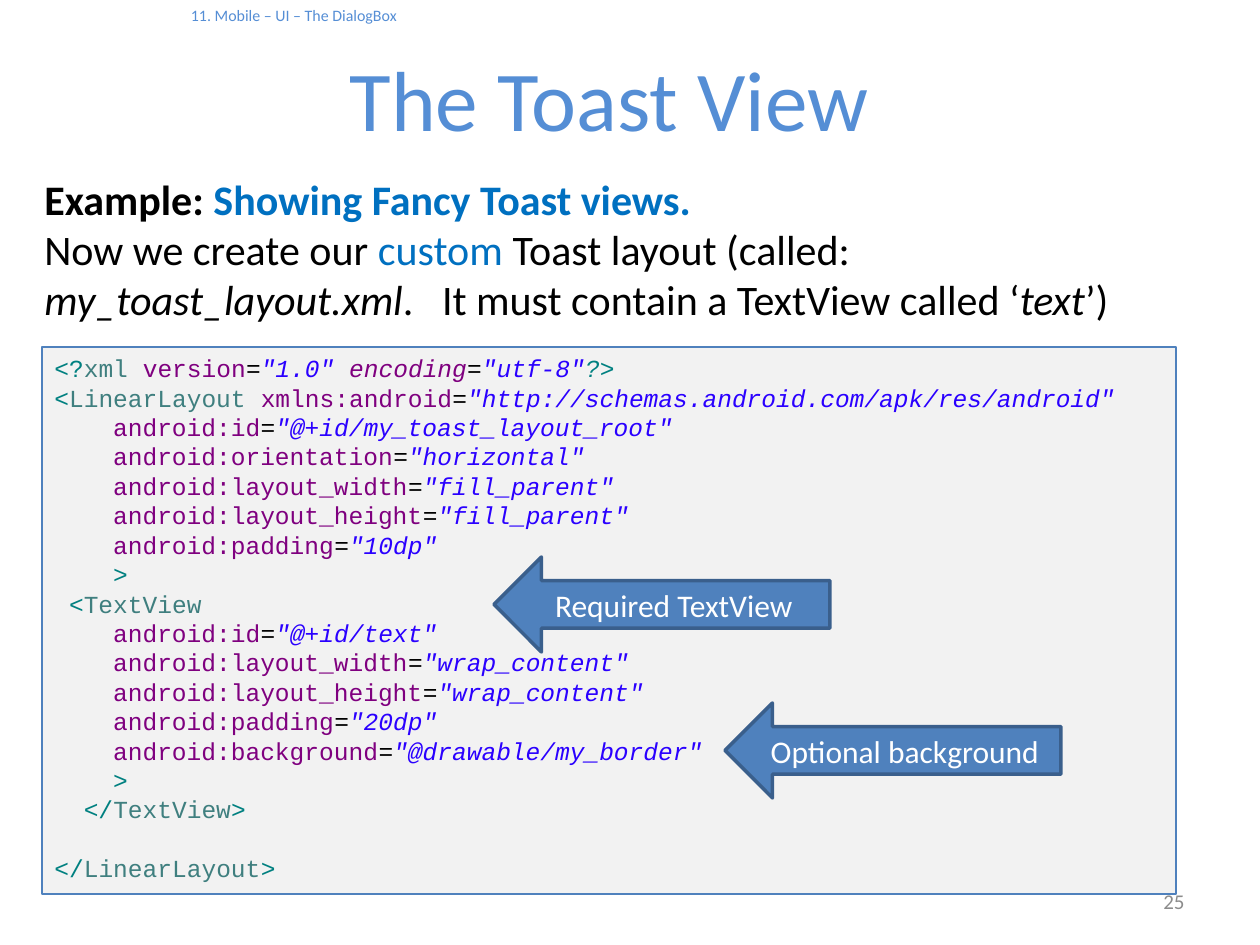
from pptx import Presentation
from pptx.dml.color import RGBColor
from pptx.enum.shapes import MSO_SHAPE
from pptx.enum.text import MSO_ANCHOR, PP_ALIGN
from pptx.util import Emu, Pt

PX = 914400 // 126
RECT, LEFT_ARROW = MSO_SHAPE.RECTANGLE, MSO_SHAPE.LEFT_ARROW
TOP, MIDDLE = MSO_ANCHOR.TOP, MSO_ANCHOR.MIDDLE
LEFT, CENTER, RIGHT = PP_ALIGN.LEFT, PP_ALIGN.CENTER, PP_ALIGN.RIGHT

BLACK = RGBColor(0x00, 0x00, 0x00)
WHITE = RGBColor(0xFF, 0xFF, 0xFF)
GRAY = RGBColor(0x8C, 0x8C, 0x8C)
PANEL = RGBColor(0xF2, 0xF2, 0xF2)
TITLE_BLUE = RGBColor(0x55, 0x8E, 0xD5)
TEXT_BLUE = RGBColor(0x00, 0x70, 0xC0)
SHAPE_BLUE = RGBColor(0x4F, 0x81, 0xBD)
EDGE_BLUE = RGBColor(0x3A, 0x5F, 0x8C)
MARK = RGBColor(0x00, 0x80, 0x80)
TAG = RGBColor(0x3F, 0x7F, 0x7F)
NAME = RGBColor(0x7F, 0x00, 0x7F)
VALUE = RGBColor(0x2A, 0x00, 0xFF)

CODE_SIZE, CODE_PITCH = 14, 16.8
CODE_CHAR = 0.6 * CODE_SIZE


def attribute(name, value):
    """Return the runs of one XML attribute."""
    return [(name, NAME), ("=", BLACK), (f'"{value}"', VALUE, "i")]


def android_lines(pairs):
    """Return one indented code line for each android attribute."""
    return [(4, attribute(f"android:{name}", value)) for name, value in pairs]


# Runs are (text, colour, style); code lines are (indent in characters, runs).
BODY = [
    [("Example: ", BLACK, "b"), ("Showing Fancy Toast views.", TEXT_BLUE, "b")],
    [("Now we create our ", BLACK), ("custom", TEXT_BLUE),
     (" Toast layout (called: ", BLACK), ("my_toast_layout.xml", BLACK, "i"),
     (".   It must contain a TextView called ‘", BLACK),
     ("text", BLACK, "i"), ("’)", BLACK)],
]
CLOSE = (4, [(">", MARK)])
CODE = [
    (0, [("<?", MARK), ("xml ", TAG), ("version", NAME), ("=", BLACK),
         ('"1.0" ', VALUE, "i"), ("encoding", NAME, "i"), ("=", BLACK, "i"),
         ('"utf-8"', VALUE, "i"), ("?>", MARK, "i")]),
    (0, [("<", MARK), ("LinearLayout ", TAG)]
     + attribute("xmlns:android", "http://schemas.android.com/apk/res/android")),
    *android_lines([("id", "@+id/my_toast_layout_root"),
                    ("orientation", "horizontal"),
                    ("layout_width", "fill_parent"),
                    ("layout_height", "fill_parent"),
                    ("padding", "10dp")]),
    CLOSE,
    (1, [("<", MARK), ("TextView", TAG)]),
    *android_lines([("id", "@+id/text"),
                    ("layout_width", "wrap_content"),
                    ("layout_height", "wrap_content"),
                    ("padding", "20dp"),
                    ("background", "@drawable/my_border")]),
    CLOSE,
    (2, [("</", MARK), ("TextView", TAG), (">", MARK)]),
    (0, [("</", MARK), ("LinearLayout", TAG), (">", MARK)]),
]
ARROWS = [("Optional background", 725, 703), ("Required TextView", 494, 557)]
ARROW_SIZE = (336, 95)


def add_box(slide, box, kind=None, fill=None, line=None, weight=1, anchor=TOP):
    """Add a text box, or a filled shape of a kind; return its text frame."""
    place = [Emu(v * PX) for v in box]
    if kind is None:
        sp = slide.shapes.add_textbox(*place)
    else:
        sp = slide.shapes.add_shape(kind, *place)
        sp.shadow.inherit = False
        sp.fill.solid()
        sp.fill.fore_color.rgb = fill
        sp.line.color.rgb = line
        sp.line.width = Pt(weight)
    tf = sp.text_frame
    tf.word_wrap = True
    tf.vertical_anchor = anchor
    return tf


def add_text(tf, runs, size, font="Calibri", align=LEFT, indent=0, before=0,
             pitch=None):
    """Write one paragraph of runs; indent, before and pitch are in points."""
    p = tf.paragraphs[0]
    if p.runs:
        p = tf.add_paragraph()
    p.alignment = align
    p.space_before = Pt(before)
    if pitch:
        p.line_spacing = Pt(pitch)
    if indent:
        pPr = p._p.get_or_add_pPr()
        pPr.set("marL", str(int(Pt(indent))))
        pPr.set("indent", "0")
    for text, color, *style in runs:
        r = p.add_run()
        r.text = text
        r.font.name = font
        r.font.size = Pt(size)
        r.font.color.rgb = color
        r.font.bold = "b" in style
        r.font.italic = "i" in style


prs = Presentation()
prs.slide_width, prs.slide_height = Emu(1260 * PX), Emu(945 * PX)
slide = prs.slides.add_slide(prs.slide_layouts[6])

tf = add_box(slide, (42, 6, 1134, 120))
tf.margin_top = 0
add_text(tf, [("11. Mobile – UI – The DialogBox", TITLE_BLUE)], 9.1, indent=78)
add_text(tf, [("The Toast View", TITLE_BLUE)], 48.7, align=CENTER, before=12)

tf = add_box(slide, (903, 876, 294, 50), anchor=MIDDLE)
add_text(tf, [("25", GRAY)], 12, align=RIGHT)

tf = add_box(slide, (32, 168, 1176, 165))
for runs in BODY:
    add_text(tf, runs, 24, pitch=28.6)

tf = add_box(slide, (42, 347, 1134, 547), RECT, PANEL, SHAPE_BLUE, 0.75)
for number, (chars, runs) in enumerate(CODE, 1):
    add_text(tf, runs, CODE_SIZE, "Courier New", indent=chars * CODE_CHAR,
             before=CODE_PITCH if number == len(CODE) else 0, pitch=CODE_PITCH)

for label, x, y in ARROWS:
    tf = add_box(slide, (x, y, *ARROW_SIZE), LEFT_ARROW, SHAPE_BLUE, EDGE_BLUE,
                 2, MIDDLE)
    add_text(tf, [(label, WHITE)], 18, align=CENTER)

prs.save("out.pptx")
